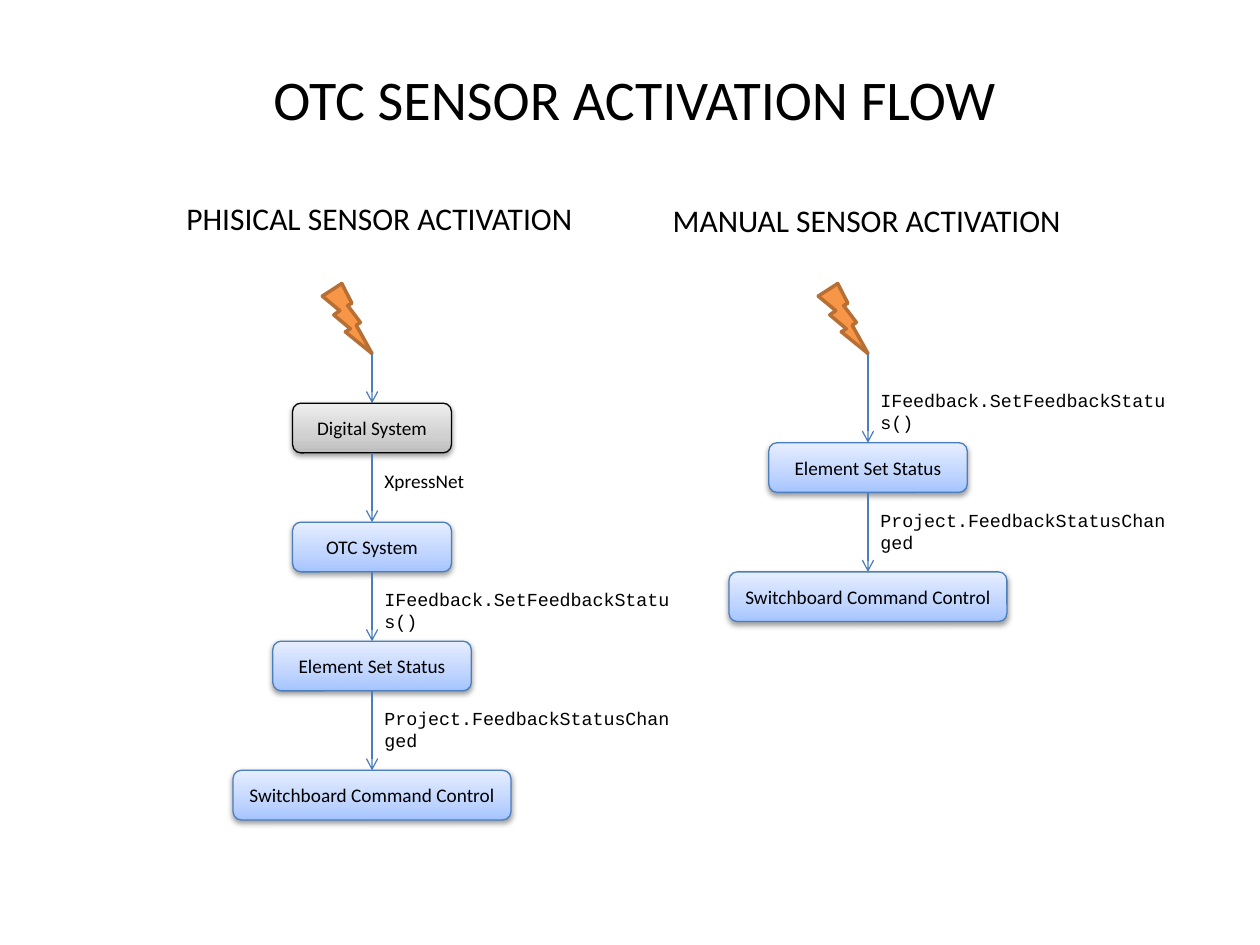
import copy
from dataclasses import dataclass
import lxml.etree
import pptx
import pptx.dml.color
import pptx.enum.shapes
import pptx.enum.text
import pptx.oxml
import pptx.oxml.ns
import pptx.util

Pt = pptx.util.Pt
RGB = pptx.dml.color.RGBColor.from_string
SHAPES = pptx.enum.shapes.MSO_SHAPE
ALIGN = pptx.enum.text.PP_ALIGN
ANCHOR = pptx.enum.text.MSO_ANCHOR
qn = pptx.oxml.ns.qn


@dataclass(frozen=True)
class Theme:
    """Colours, fonts and type sizes of the slide."""
    font: str = "Calibri"
    code_font: str = "Courier New"
    title_size: float = 32
    heading_size: float = 18
    body_size: float = 11
    code_size: float = 10.5
    text: str = "000000"
    line: str = "4B7EBC"
    bolt_fill: str = "F79646"
    bolt_line: str = "B76F34"
    grey_line: str = "000000"
    blue_stops: tuple = ("A4C4FF", "BFD4FF", "E6EEFF")
    grey_stops: tuple = ("BDBDBD", "D1D1D1", "EEEEEE")
    stop_positions: tuple = (0, 0.35, 1)


@dataclass(frozen=True)
class Step:
    """A box of the flow, with the arrow and the label that lead to it."""
    name: str
    width: float
    gap: float
    label: str = ""
    code: bool = True
    label_offset: float = 5.8
    external: bool = False


THEME = Theme()
BOX_HEIGHT = 28.4
BOLT_WIDTH, BOLT_HEIGHT = 28.4, 40


def write(shape, text, size, font=THEME.font, align=ALIGN.LEFT):
    """Put one formatted paragraph into a shape."""
    shape.text_frame.text = text
    paragraph = shape.text_frame.paragraphs[0]
    paragraph.alignment = align
    paragraph.font.name = font
    paragraph.font.size = Pt(size)
    paragraph.font.color.rgb = RGB(THEME.text)


def add_text(slide, left, top, width, height, text, size, font=THEME.font, wrap=False):
    """Add a text box."""
    box = slide.shapes.add_textbox(Pt(left), Pt(top), Pt(width), Pt(height))
    box.text_frame.word_wrap = wrap
    write(box, text, size, font)


def add_effects(shape, shadow):
    """Replace the effects of a shape by a soft shadow or by none."""
    effects = lxml.etree.SubElement(shape._element.spPr, qn("a:effectLst"))
    if shadow:
        outer = lxml.etree.SubElement(effects, qn("a:outerShdw"), blurRad="40000",
                                      dist="20000", dir="5400000", rotWithShape="0")
        color = lxml.etree.SubElement(outer, qn("a:srgbClr"), val="000000")
        lxml.etree.SubElement(color, qn("a:alpha"), val="38000")


def fill_gradient(shape, colors):
    """Fill a shape with a three-colour gradient that rises from the bottom."""
    shape.fill.gradient()
    shape.fill.gradient_angle = 90
    stop_list = shape._element.spPr.find(".//" + qn("a:gsLst"))
    stop_list.append(copy.deepcopy(stop_list[-1]))
    for stop, position, color in zip(shape.fill.gradient_stops, THEME.stop_positions, colors):
        stop.position = position
        stop.color.rgb = RGB(color)


def add_box(slide, center, top, step):
    """Add the rounded box of a step."""
    box = slide.shapes.add_shape(SHAPES.ROUNDED_RECTANGLE, Pt(center - step.width / 2),
                                 Pt(top), Pt(step.width), Pt(BOX_HEIGHT))
    fill_gradient(box, THEME.grey_stops if step.external else THEME.blue_stops)
    box.line.color.rgb = RGB(THEME.grey_line if step.external else THEME.line)
    box.line.width = Pt(0.75)
    add_effects(box, shadow=True)
    box.text_frame.vertical_anchor = ANCHOR.MIDDLE
    write(box, step.name, THEME.body_size, align=ALIGN.CENTER)


def add_arrow(slide, center, top, bottom):
    """Add a downward arrow."""
    arrow = slide.shapes.add_connector(pptx.enum.shapes.MSO_CONNECTOR.STRAIGHT,
                                       Pt(center), Pt(top), Pt(center), Pt(bottom))
    arrow.line.color.rgb = RGB(THEME.line)
    arrow.line.width = Pt(0.75)
    lxml.etree.SubElement(arrow.line._get_or_add_ln(), qn("a:tailEnd"), type="arrow")
    add_effects(arrow, shadow=False)


def add_bolt(slide, center, top):
    """Add the lightning bolt whose tip starts the flow."""
    bolt = slide.shapes.add_shape(SHAPES.LIGHTNING_BOLT, Pt(center - BOLT_WIDTH), Pt(top),
                                  Pt(BOLT_WIDTH), Pt(BOLT_HEIGHT))
    bolt.shadow.inherit = False
    bolt.fill.solid()
    bolt.fill.fore_color.rgb = RGB(THEME.bolt_fill)
    bolt.line.color.rgb = RGB(THEME.bolt_line)
    bolt.line.width = Pt(2)


def add_flow(slide, center, top, steps):
    """Add a bolt and the chain of steps below it."""
    add_bolt(slide, center, top)
    start = top + BOLT_HEIGHT
    for step in steps:
        end = start + step.gap
        add_arrow(slide, center, start, end)
        add_box(slide, center, end, step)
        if step.label and step.code:
            add_text(slide, center, start + step.label_offset, 183, 20, step.label,
                     THEME.code_size, THEME.code_font, wrap=True)
        elif step.label:
            add_text(slide, center, start + step.label_offset, 60.5, 20.6, step.label,
                     THEME.body_size)
        start = end + BOX_HEIGHT


def add_title(slide, left, top, width, height, text):
    """Place and format the title placeholder."""
    title = slide.shapes.title
    title.left, title.top, title.width, title.height = map(Pt, (left, top, width, height))
    title.text_frame.vertical_anchor = ANCHOR.MIDDLE
    write(title, text, THEME.title_size, align=ALIGN.CENTER)


def main():
    """Build the slide and save it."""
    presentation = pptx.Presentation()
    presentation.slide_width, presentation.slide_height = Pt(720), Pt(540)
    slide = presentation.slides.add_slide(presentation.slide_layouts[5])
    add_title(slide, 36.7, 33, 652, 46, "OTC SENSOR ACTIVATION FLOW")

    feedback = "IFeedback.SetFeedbackStatus()"
    switchboard = Step("Switchboard Command Control", 158.8, 45.4,
                       "Project.FeedbackStatusChanged")
    physical = [
        Step("Digital System", 90.8, 28.4, external=True),
        Step("OTC System", 90.8, 39.6, "XpressNet", code=False),
        Step("Element Set Status", 113.4, 39.6, feedback),
        switchboard,
    ]
    manual = [
        Step("Element Set Status", 113.4, 51, feedback, label_offset=17),
        switchboard,
    ]
    add_text(slide, 99.4, 110.2, 237, 29, "PHISICAL SENSOR ACTIVATION", THEME.heading_size)
    add_text(slide, 377.3, 111.2, 238, 29, "MANUAL SENSOR ACTIVATION", THEME.heading_size)
    add_flow(slide, 212.6, 162, physical)
    add_flow(slide, 496, 162, manual)
    presentation.save("out.pptx")


main()
